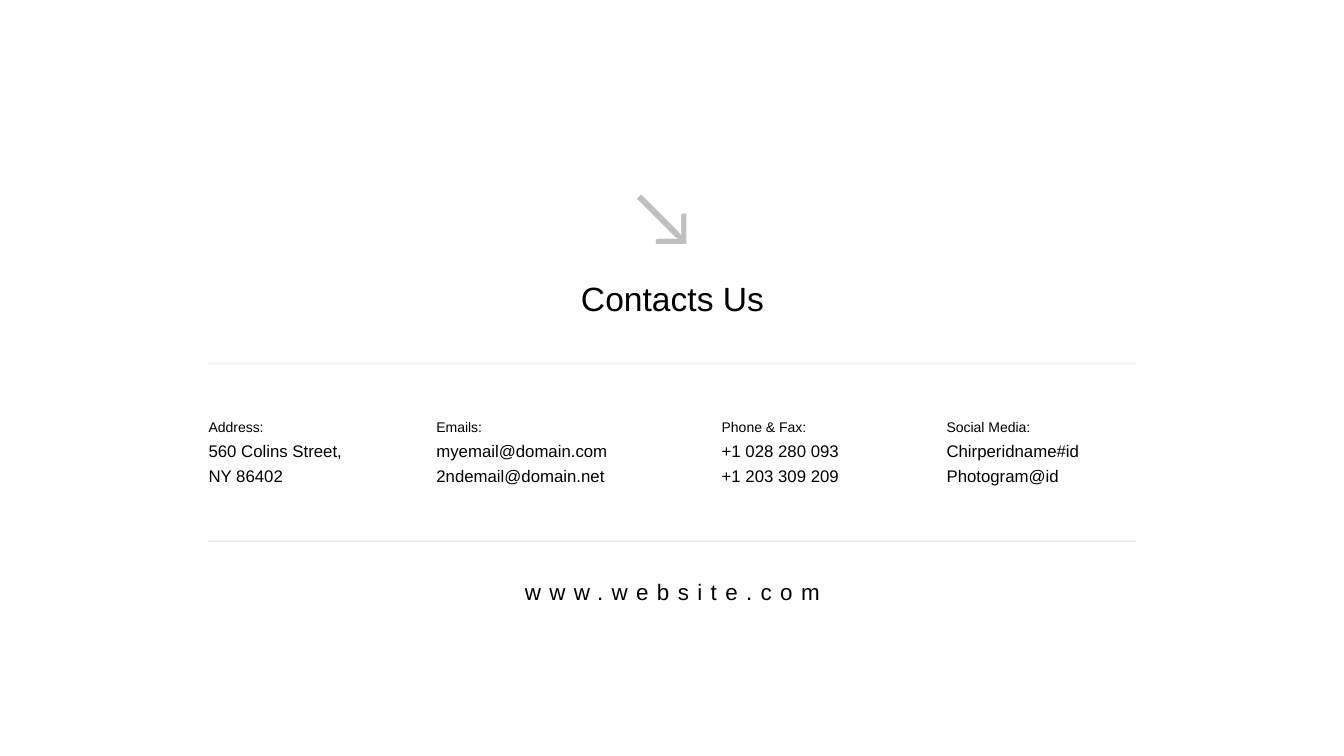
import pptx
import pptx.dml.color
import pptx.enum.shapes
import pptx.enum.text
import pptx.oxml.ns
import pptx.util
from lxml import etree
from pptx.util import Inches

BLACK = pptx.dml.color.RGBColor(0x00, 0x00, 0x00)
GREY = pptx.dml.color.RGBColor(0xBF, 0xBF, 0xBF)
CENTER = pptx.enum.text.PP_ALIGN.CENTER
qn = pptx.oxml.ns.qn

deck = pptx.Presentation()
deck.slide_width = Inches(13.33)
deck.slide_height = Inches(7.5)
page = deck.slides.add_slide(deck.slide_layouts[6])


def add_box(left, top, width, height):
    box = page.shapes.add_textbox(Inches(left), Inches(top), Inches(width), Inches(height))
    box.text_frame.word_wrap = True
    return box


def add_span(para, text, size, font="Arial", color=BLACK):
    span = para.add_run()
    span.text = text
    span.font.size = pptx.util.Pt(size)
    span.font.name = font
    span.font.color.rgb = color
    return span


# Contact columns: left, width, heading, details
contacts = [
    (1.97, 1.95, "Address:", ["560 Colins Street,", "NY 86402"]),
    (4.23, 2.53, "Emails:", ["myemail@domain.com", "2ndemail@domain.net"]),
    (7.06, 1.93, "Phone & Fax:", ["+1 028 280 093", "+1 203 309 209"]),
    (9.29, 2.07, "Social Media:", ["Chirperidname#id", "Photogram@id"]),
]
for left, width, heading, details in contacts:
    frame = add_box(left, 4.02, width, 0.83).text_frame
    para = frame.paragraphs[0]
    para.line_spacing = pptx.util.Pt(18)
    add_span(para, heading, 10)
    for detail in details:
        para = frame.add_paragraph()
        para.line_spacing = pptx.util.Pt(18)
        add_span(para, detail, 12)

# Website, with letters spaced 6 pt apart
para = add_box(4.65, 5.69, 4.04, 0.37).text_frame.paragraphs[0]
para.alignment = CENTER
website = add_span(para, "www.website.com", 16)
website.font._element.set("spc", "600")

# Rules above and below the contacts
for y in (5.37, 3.61):
    rule = page.shapes.add_connector(
        pptx.enum.shapes.MSO_CONNECTOR.STRAIGHT,
        Inches(2.06), Inches(y), Inches(11.27), Inches(y))
    rule.line.color.rgb = GREY
    rule.line.width = pptx.util.Pt(0.5)
    properties = rule._element.spPr
    color = properties.find(".//" + qn("a:srgbClr"))
    etree.SubElement(color, qn("a:alpha")).set("val", "60000")
    etree.SubElement(properties, qn("a:effectLst"))

# Arrow above the title
frame = add_box(6.1, 1.62, 0.96, 1.01).text_frame
frame.word_wrap = False
frame.vertical_anchor = pptx.enum.text.MSO_ANCHOR.MIDDLE
para = frame.paragraphs[0]
para.alignment = CENTER
add_span(para, "↘", 54, "Lato", GREY)

# Title
para = add_box(4.65, 2.71, 4.04, 0.5).text_frame.paragraphs[0]
para.alignment = CENTER
add_span(para, "Contacts Us", 24)

deck.save("out.pptx")
